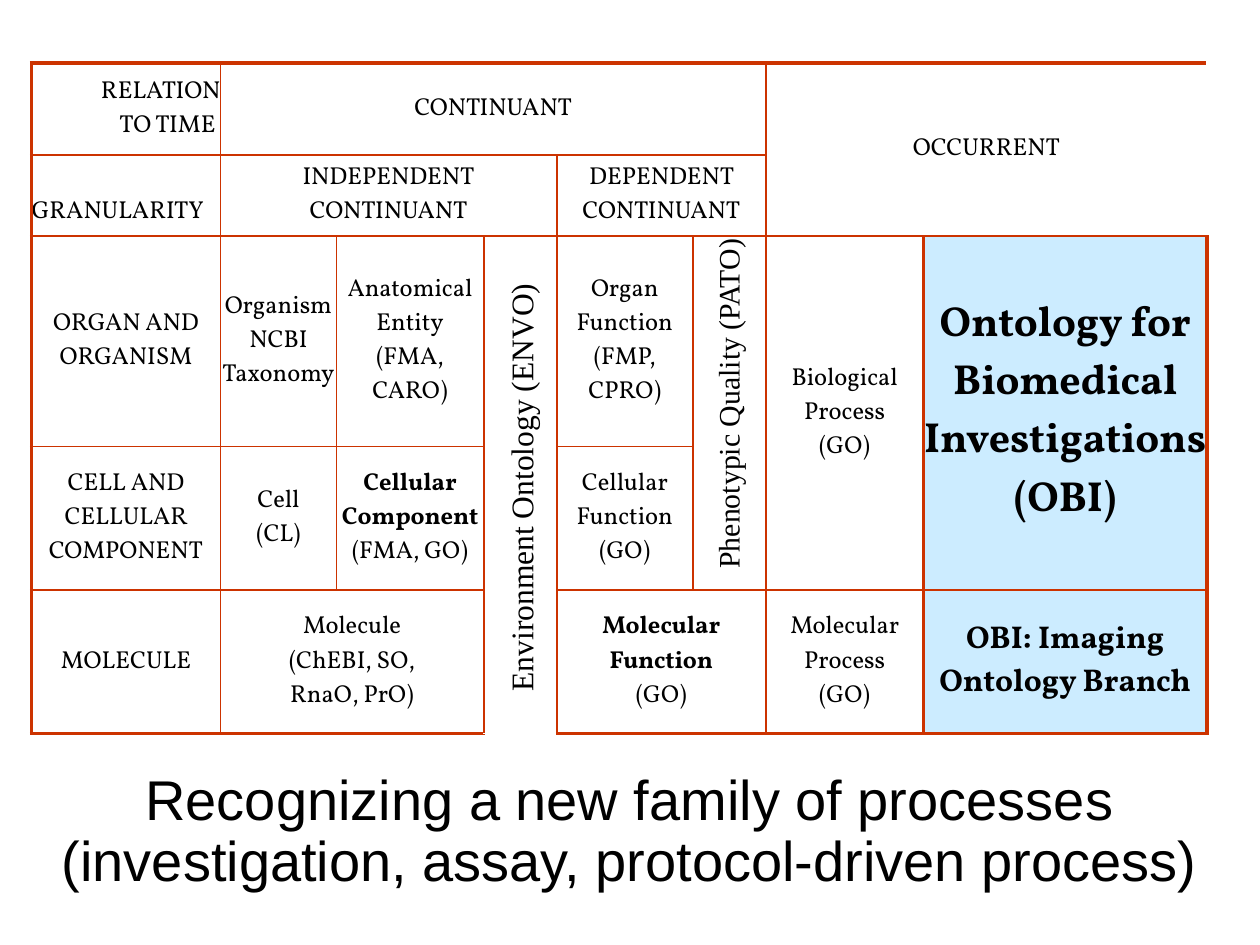
from lxml import etree
from pptx import Presentation
from pptx.dml.color import RGBColor
from pptx.enum.text import MSO_ANCHOR, MSO_AUTO_SIZE, PP_ALIGN
from pptx.oxml.ns import qn
from pptx.util import Inches, Pt

BLACK = RGBColor(0x00, 0x00, 0x00)
WHITE = RGBColor(0xFF, 0xFF, 0xFF)
RULE_RED = RGBColor(0xCC, 0x33, 0x00)
PALE_BLUE = RGBColor(0xCC, 0xEC, 0xFF)

CENTER, LEFT, RIGHT = PP_ALIGN.CENTER, PP_ALIGN.LEFT, PP_ALIGN.RIGHT
TOP, MIDDLE, BOTTOM = MSO_ANCHOR.TOP, MSO_ANCHOR.MIDDLE, MSO_ANCHOR.BOTTOM
NO_AUTOFIT = MSO_AUTO_SIZE.NONE

COLUMN_WIDTHS = [1.5, 0.92, 1.17, 0.58, 1.08, 0.58, 1.25, 2.25]
ROW_HEIGHTS = [0.73, 0.64, 1.67, 1.14, 1.14]
THIN, THICK = Pt(1), Pt(2.25)
FIRST_BODY_ROW, INVESTIGATION_COLUMN = 2, 7

# row, column, row span, column span, lines, format
REGIONS = [
    (0, 0, 1, 1, ["RELATION", "TO TIME "], {"align": RIGHT}),
    (0, 1, 1, 5, ["CONTINUANT"], {}),
    (0, 6, 2, 2, ["OCCURRENT"], {}),
    (1, 0, 1, 1, ["GRANULARITY"], {"align": LEFT, "anchor": BOTTOM}),
    (1, 1, 1, 3, ["INDEPENDENT", "CONTINUANT"], {}),
    (1, 4, 1, 2, ["DEPENDENT CONTINUANT"], {}),
    (2, 0, 1, 1, ["ORGAN AND", "ORGANISM"], {}),
    (2, 1, 1, 1, ["Organism", "NCBI", "Taxonomy"], {}),
    (2, 2, 1, 1, ["Anatomical Entity", "(FMA, CARO)"], {}),
    (2, 3, 3, 1, [], {}),
    (2, 4, 1, 1, ["Organ", "Function", "(FMP, CPRO)"], {}),
    (2, 5, 2, 1, [], {}),
    (2, 6, 2, 1, ["Biological Process", "(GO)"], {"fill": WHITE}),
    (2, 7, 2, 1, ["Ontology for Biomedical Investigations", "(OBI)"],
     {"fill": PALE_BLUE, "size": 24, "bold_lines": 2}),
    (3, 0, 1, 1, ["CELL AND CELLULAR COMPONENT"], {}),
    (3, 1, 1, 1, ["Cell", "(CL)"], {}),
    (3, 2, 1, 1, ["Cellular Component", "(FMA, GO)"], {"fill": WHITE, "bold_lines": 1}),
    (3, 4, 1, 1, ["Cellular Function", "(GO)"], {}),
    (4, 0, 1, 1, ["MOLECULE"], {}),
    (4, 1, 1, 2, ["Molecule", "(ChEBI, SO,", "RnaO, PrO)"], {}),
    (4, 4, 1, 2, ["Molecular Function", "(GO)"], {"fill": WHITE, "bold_lines": 1}),
    (4, 6, 1, 1, ["Molecular Process", "(GO)"], {}),
    (4, 7, 1, 1, ["OBI: Imaging Ontology Branch"],
     {"fill": PALE_BLUE, "size": 18, "bold_lines": 1}),
]


def write_text(text_frame, lines, font="Vollkorn", size=14, align=CENTER,
               bold_lines=0, line_spacing=None):
    """Write one paragraph per line; the first bold_lines of them are bold."""
    for index, line in enumerate(lines):
        paragraph = text_frame.paragraphs[0] if index == 0 else text_frame.add_paragraph()
        paragraph.alignment = align
        paragraph.space_before = Pt(0)
        if line_spacing:
            paragraph.line_spacing = line_spacing
        run = paragraph.add_run()
        run.text = line
        run.font.name = font
        run.font.size = Pt(size)
        run.font.bold = index < bold_lines
        run.font.color.rgb = BLACK


def set_borders(cell, widths):
    """Draw the given sides, a mapping from L, R, T or B to a line width."""
    properties = cell._tc.get_or_add_tcPr()
    sides = [side for side in "LRTB" if side in widths]
    for index, side in enumerate(sides):
        line = etree.Element(qn(f"a:ln{side}"), w=str(widths[side]))
        solid_fill = etree.SubElement(line, qn("a:solidFill"))
        etree.SubElement(solid_fill, qn("a:srgbClr"), val=str(RULE_RED))
        properties.insert(index, line)


def outline_region(table, top, left, bottom, right):
    """Border the cells of a region along its outer edges only."""
    def vertical_width(edge):
        is_divider = edge == INVESTIGATION_COLUMN and top >= FIRST_BODY_ROW
        return THICK if is_divider or edge in (0, len(COLUMN_WIDTHS)) else THIN

    def horizontal_width(edge):
        return THICK if edge in (0, len(ROW_HEIGHTS)) else THIN

    for row in range(top, bottom):
        for column in range(left, right):
            widths = {}
            if column == left:
                widths["L"] = vertical_width(left)
            if column == right - 1:
                widths["R"] = vertical_width(right)
            if row == top:
                widths["T"] = horizontal_width(top)
            if row == bottom - 1:
                widths["B"] = horizontal_width(bottom)
            set_borders(table.cell(row, column), widths)


def fill_region(table, region):
    row, column, row_span, column_span, lines, options = region
    text_format = dict(options)
    fill = text_format.pop("fill", None)
    anchor = text_format.pop("anchor", MIDDLE)
    bottom, right = row + row_span, column + column_span
    cell = table.cell(row, column)
    if row_span * column_span > 1:
        cell.merge(table.cell(bottom - 1, right - 1))
    cell.margin_left = cell.margin_right = 0
    cell.margin_top = cell.margin_bottom = Inches(0.05)
    cell.vertical_anchor = anchor
    if fill is None:
        cell.fill.background()
    else:
        cell.fill.solid()
        cell.fill.fore_color.rgb = fill
    write_text(cell.text_frame, lines, **text_format)
    outline_region(table, row, column, bottom, right)


def add_ontology_table(slide, left, top, width, height):
    frame = slide.shapes.add_table(len(ROW_HEIGHTS), len(COLUMN_WIDTHS),
                                   left, top, width, height)
    table = frame.table
    table.first_row = table.horz_banding = False
    for column, column_width in zip(table.columns, COLUMN_WIDTHS):
        column.width = Inches(column_width)
    for row, row_height in zip(table.rows, ROW_HEIGHTS):
        row.height = Inches(row_height)
    for region in REGIONS:
        fill_region(table, region)


def add_vertical_label(slide, text, left, top, width, height, **text_format):
    """Add a label that reads upwards; the box is given before its rotation."""
    label = slide.shapes.add_textbox(left, top, width, height)
    label.rotation = 270
    label.text_frame.word_wrap = True
    write_text(label.text_frame, [text], font="Times New Roman", **text_format)


def place_title(slide, text, left, top, width, height):
    title = slide.shapes.title
    title.left, title.top, title.width, title.height = left, top, width, height
    title.fill.solid()
    title.fill.fore_color.rgb = WHITE
    title.text_frame.word_wrap = True
    title.text_frame.auto_size = NO_AUTOFIT
    title.text_frame.vertical_anchor = TOP
    write_text(title.text_frame, [text], font="Arial", size=32, line_spacing=0.9)


def main():
    presentation = Presentation()
    presentation.slide_width = Inches(10)
    presentation.slide_height = Inches(7.5)
    slide = presentation.slides.add_slide(presentation.slide_layouts.get_by_name("Title Only"))
    add_ontology_table(slide, Inches(0.25), Inches(0.5),
                       Inches(sum(COLUMN_WIDTHS)), Inches(sum(ROW_HEIGHTS)))
    add_vertical_label(slide, "Environment Ontology (ENVO)", Inches(2.3), Inches(3.55),
                       Inches(3.67), Inches(0.4), size=18, align=LEFT)
    add_vertical_label(slide, "Phenotypic Quality (PATO)", Inches(4.24), Inches(3.01),
                       Inches(3.08), Inches(0.39), size=17)
    place_title(slide, "Recognizing a new family of processes "
                       "(investigation, assay, protocol-driven process)",
                Inches(0), Inches(6.08), Inches(10), Inches(1.18))
    presentation.save("out.pptx")


if __name__ == "__main__":
    main()
